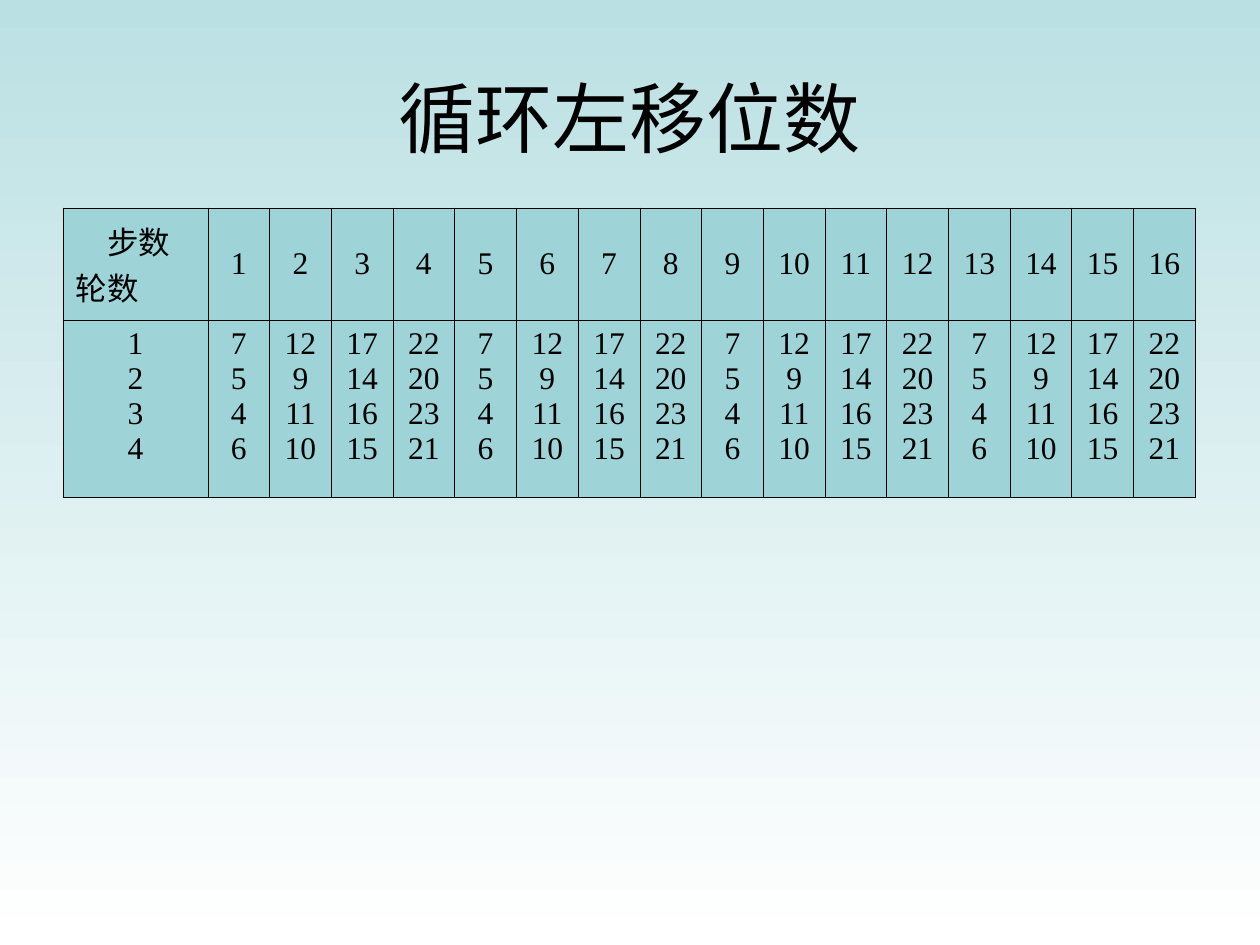
"""Build a slide with a table of circular left shift counts."""
from lxml import etree
from pptx import Presentation
from pptx import util as u
from pptx.dml import color as clr
from pptx.enum import text
from pptx.oxml import ns

HUES = {"ink": "000000", "cell": "9ED3D7", "top": "BBE0E3", "base": "FFFFFF"}
SHIFTS = [(7, 12, 17, 22), (5, 9, 14, 20), (4, 11, 16, 23), (6, 10, 15, 21)]
STEPS = 16


def write(frame, lines, size, face, align):
    for i, line in enumerate(lines):
        para = frame.paragraphs[0] if i == 0 else frame.add_paragraph()
        para.text = str(line)
        para.alignment = align
        para.font.size = u.Pt(size)
        para.font.name = face
        para.font.color.rgb = clr.RGBColor.from_string(HUES["ink"])


def edge(cell):
    props = cell._tc.get_or_add_tcPr()
    for i, side in enumerate(("a:lnL", "a:lnR", "a:lnT", "a:lnB")):
        line = etree.Element(ns.qn(side), w=str(u.Pt(0.45)))
        fill = etree.SubElement(line, ns.qn("a:solidFill"))
        etree.SubElement(fill, ns.qn("a:srgbClr"), val=HUES["ink"])
        props.insert(i, line)


deck = Presentation()
deck.slide_width, deck.slide_height = u.Inches(10), u.Inches(7.5)
slide = deck.slides.add_slide(deck.slide_layouts[6])

back = slide.background.fill
back.gradient()
back.gradient_angle = 270
for stop, hue, place in zip(back.gradient_stops, ("top", "base"), (0, 1)):
    stop.color.rgb = clr.RGBColor.from_string(HUES[hue])
    stop.position = place

title = slide.shapes.add_textbox(u.Inches(0.5), u.Inches(0.3), u.Inches(9), u.Inches(1.25))
title.text_frame.word_wrap = True
title.text_frame.vertical_anchor = text.MSO_ANCHOR.MIDDLE
write(title.text_frame, ["循环左移位数"], 44, "Calibri", text.PP_ALIGN.CENTER)

table = slide.shapes.add_table(
    2, STEPS + 1, u.Inches(0.5), u.Inches(1.65), u.Inches(9), u.Inches(2.3)).table
table.first_row = table.horz_banding = False
table.rows[0].height, table.rows[1].height = u.Inches(0.89), u.Inches(1.41)

for c, col in enumerate(table.columns):
    col.width = u.Inches(0.49 if c else 1.15)
    head = [c] if c else ["步数", "轮数"]
    body = [row[(c - 1) % 4] for row in SHIFTS] if c else range(1, 5)
    for r, lines in enumerate((head, body)):
        cell = table.cell(r, c)
        cell.fill.solid()
        cell.fill.fore_color.rgb = clr.RGBColor.from_string(HUES["cell"])
        edge(cell)
        cell.vertical_anchor = text.MSO_ANCHOR.TOP if r else text.MSO_ANCHOR.MIDDLE
        align = text.PP_ALIGN.CENTER if r or c else text.PP_ALIGN.LEFT
        write(cell.text_frame, lines, 18, "Times New Roman", align)

corner = table.cell(0, 0).text_frame.paragraphs[0]
corner._p.get_or_add_pPr().set("marL", str(u.Inches(0.25)))

deck.save("out.pptx")
